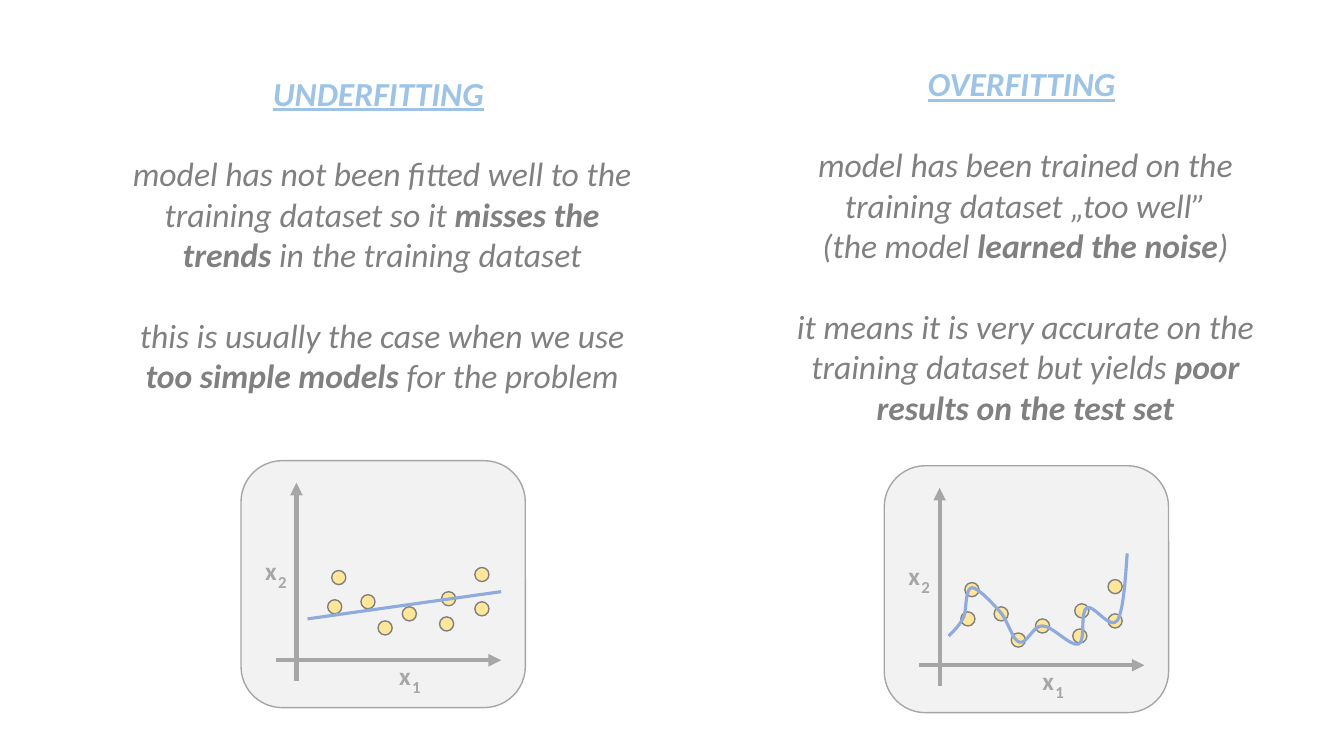
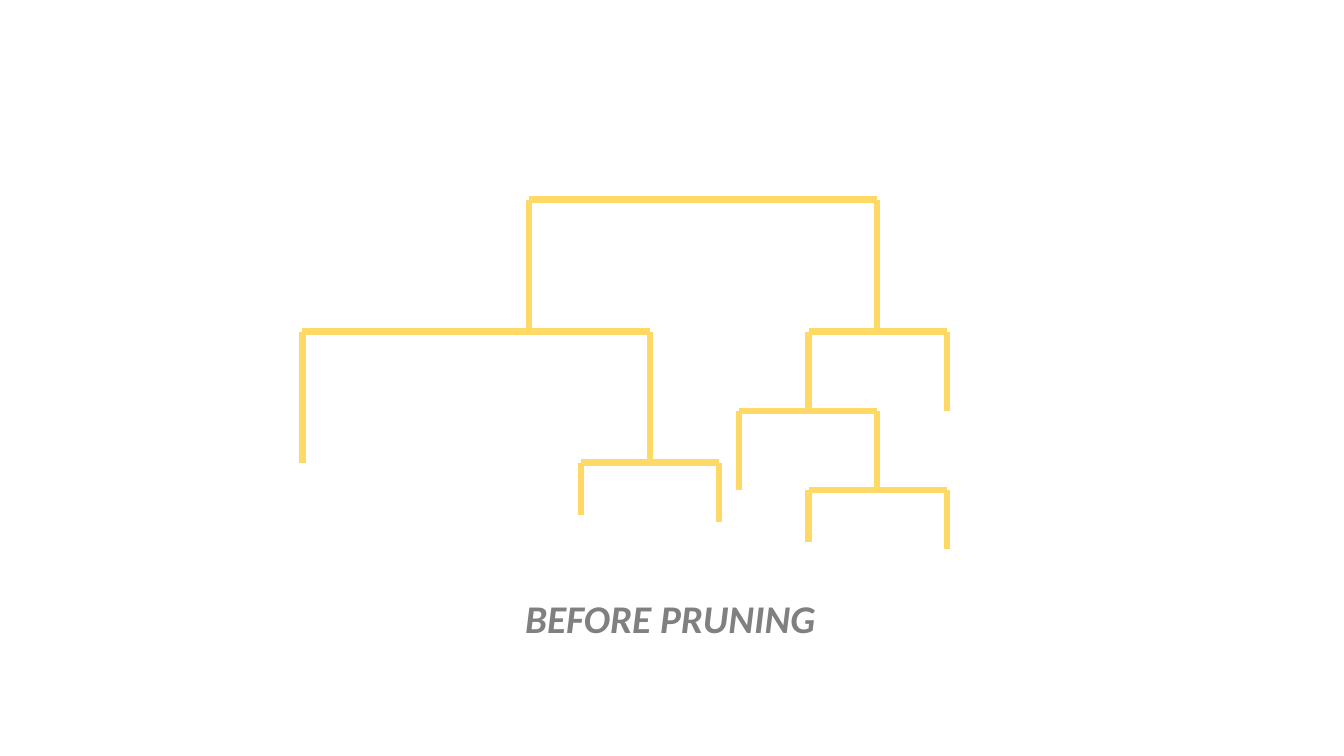
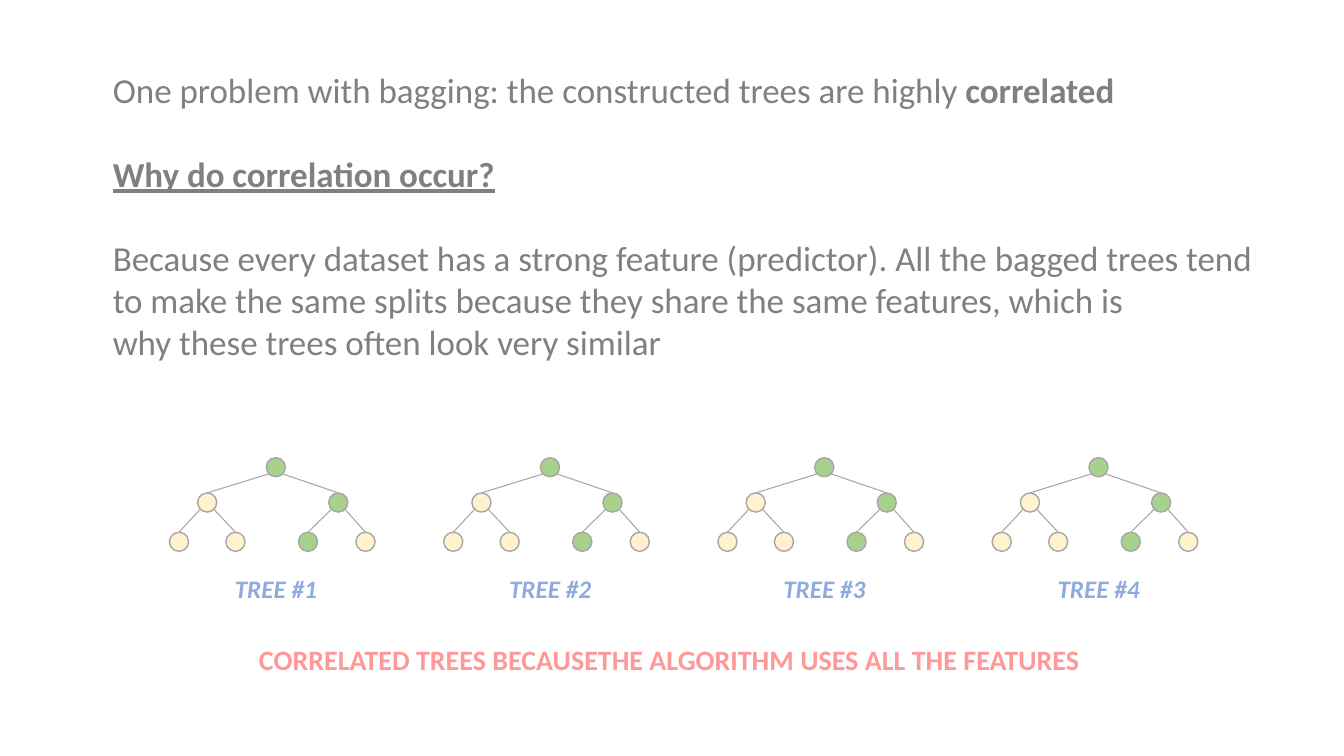
import pptx
import pptx.util
import pptx.dml.color
import pptx.enum.shapes
import pptx.enum.text
import pptx.oxml
import pptx.oxml.ns

BLUE, SKY, GREY, MID = "8FAADC", "9DC3E6", "808080", "A6A6A6"
YELLOW, GOLD, CREAM, GREEN, PALE, CORAL = "FFE699", "FFD966", "FFF2CC", "A9D18E", "F2F2F2", "FF9999"

FORMATS = {
    "heading": dict(size=24, bold=True, italic=True, underline=True, color=SKY),
    "heading end": dict(size=24, italic=True, color=SKY),
    "body": dict(size=24, italic=True, color=GREY),
    "strong": dict(size=24, italic=True, bold=True, color=GREY),
    "axis": dict(size=18, bold=True, color=MID),
    "index": dict(size=12, bold=True, color=MID),
    "caption": dict(size=28, bold=True, italic=True, color=GREY),
    "plain": dict(size=25, color=GREY),
    "plain strong": dict(size=25, bold=True, color=GREY),
    "question": dict(size=25, bold=True, underline=True, color=GREY),
    "tree": dict(size=18, bold=True, italic=True, color=BLUE),
    "conclusion": dict(size=20, bold=True, color=CORAL),
}

UNDERFITTING = [
    (0, [("UNDERFITTING", "heading"), (" ", "heading end")]),
    (29, [("model has not been fitted well to the training dataset so it ", "body"),
          ("misses the trends ", "strong"), ("in the training dataset", "body")]),
    (29, [("this is usually the case when we use ", "body"),
          ("too simple models ", "strong"), ("for the problem", "body")]),
]
OVERFITTING = [
    (0, [("OVERFITTING", "heading"), (" ", "heading end")]),
    (29, [("model has been trained on the training dataset „too well”", "body")]),
    (0, [("(the model ", "body"), ("learned the noise", "strong"), (")", "body")]),
    (29, [("it means it is very accurate on the training dataset but yields ", "body"),
          ("poor results on the test set", "strong")]),
]
BAGGING = [
    (0, [("One problem with bagging: the constructed trees are highly ", "plain"),
         ("correlated", "plain strong")]),
    (30, [("Why do correlation occur?", "question")]),
    (30, [("Because every dataset has a strong feature (predictor). "
           "All the bagged trees tend", "plain")]),
    (0, [("to make the same splits because they share the same features, which is", "plain")]),
    (0, [("why these trees often look very similar", "plain")]),
]

CARD = (2.82, 2.45)
AXES = [((0.55, 2.19), (0.55, 0.22)), ((0.35, 1.98), (2.58, 1.98))]
AXIS_LABELS = [("1", 1.47, 1.93), ("2", 0.14, 0.89)]
SAMPLES = [(0.9, 1.09), (1.19, 1.33), (1.99, 1.3), (1.36, 1.59), (1.6, 1.45),
           (1.97, 1.55), (2.32, 1.06), (0.86, 1.38), (2.32, 1.4)]
TREND = ((3.05, 6.14), (4.97, 5.87))
NOISE = [
    (9.41, 6.31), (9.47, 6.25), (9.52, 6.2), (9.56, 6.12), (9.59, 6.04), (9.57, 5.84),
    (9.64, 5.83), (9.7, 5.83), (9.84, 5.98), (9.92, 6.07), (10, 6.16), (10.04, 6.35),
    (10.11, 6.37), (10.18, 6.4), (10.25, 6.2), (10.34, 6.21), (10.44, 6.21), (10.62, 6.42),
    (10.7, 6.39), (10.77, 6.36), (10.71, 6.07), (10.78, 6.03), (10.84, 5.99), (11.01, 6.25),
    (11.08, 6.16), (11.14, 6.07), (11.16, 5.78), (11.18, 5.49),
]

WIDE, NARROW = 3.45, 1.37
SPLITS = [
    (5.25, 1.98, WIDE, 1.3, 1.3),
    (8.02, 3.29, NARROW, 0.79, 0.79),
    (7.33, 4.08, NARROW, 0.78, 0.78),
    (8.02, 4.86, NARROW, 0.52, 0.59),
    (3, 3.29, WIDE, 1.3, 1.3),
    (5.76, 4.59, NARROW, 0.52, 0.59),
]

TREES, FIRST_TREE, TREE_TOP, TREE_PITCH, NODE = 4, 1.68, 4.54, 2.72, 0.19
NODES = [(0.96, 0, GREEN), (0.28, 0.35, CREAM), (1.58, 0.35, GREEN),
         (0, 0.74, CREAM), (0.56, 0.74, CREAM), (1.28, 0.74, GREEN), (1.85, 0.74, CREAM)]

inch = pptx.util.Inches


def colour(target, value):
    target.rgb = pptx.dml.color.RGBColor.from_string(value)


def add_element(parent, tag, **attributes):
    element = pptx.oxml.parse_xml(f"<{tag} {pptx.oxml.ns.nsdecls('a')}/>")
    for key, value in attributes.items():
        element.set(key, value)
    parent.append(element)


def outline(part, value, width):
    colour(part.line.color, value)
    part.line.width = pptx.util.Pt(width)


def preset(slide, kind, box, fill, edge):
    part = slide.shapes.add_shape(kind, *map(inch, box))
    part.shadow.inherit = False
    part.fill.solid()
    colour(part.fill.fore_color, fill)
    outline(part, edge, 1)


def circle(slide, x, y, size, fill, edge):
    preset(slide, pptx.enum.shapes.MSO_SHAPE.OVAL, (x, y, size, size), fill, edge)


def segment(slide, start, end, value, width, arrow=False):
    part = slide.shapes.add_connector(
        pptx.enum.shapes.MSO_CONNECTOR.STRAIGHT, *map(inch, (*start, *end)))
    outline(part, value, width)
    properties = part._element.spPr
    if arrow:
        add_element(properties.find(pptx.oxml.ns.qn("a:ln")), "a:tailEnd", type="triangle")
    add_element(properties, "a:effectLst")


def curve(slide, points, value, width):
    start, *rest = [tuple(map(inch, point)) for point in points]
    builder = slide.shapes.build_freeform(*start, scale=1.0)
    builder.add_line_segments(rest, close=False)
    part = builder.convert_to_shape()
    part.shadow.inherit = False
    part.fill.background()
    outline(part, value, width)
    steps = part._element.xpath(".//a:lnTo")
    for first in range(0, len(steps), 3):
        bend, *others = steps[first:first + 3]
        bend.tag = pptx.oxml.ns.qn("a:cubicBezTo")
        for step in others:
            bend.append(step[0])
            step.getparent().remove(step)


def write(slide, box, paragraphs, wrap=False, align="LEFT"):
    frame = slide.shapes.add_textbox(*map(inch, box)).text_frame
    frame.word_wrap = wrap
    frame.auto_size = pptx.enum.text.MSO_AUTO_SIZE.SHAPE_TO_FIT_TEXT
    for number, (gap, runs) in enumerate(paragraphs):
        paragraph = frame.add_paragraph() if number else frame.paragraphs[0]
        paragraph.alignment = getattr(pptx.enum.text.PP_ALIGN, align)
        if gap:
            paragraph.space_before = pptx.util.Pt(gap)
        for text, style in runs:
            run = paragraph.add_run()
            run.text = text
            run.font.name = "Calibri"
            for key, value in FORMATS[style].items():
                if key == "color":
                    colour(run.font.color, value)
                else:
                    setattr(run.font, key, pptx.util.Pt(value) if key == "size" else value)


def label(slide, box, text, style):
    write(slide, box, [(0, [(text, style)])])


def plot(slide, left, top, sample_shift):
    preset(slide, pptx.enum.shapes.MSO_SHAPE.ROUNDED_RECTANGLE, (left, top, *CARD), PALE, MID)
    for ends in AXES:
        start, end = [(left + x, top + y) for x, y in ends]
        segment(slide, start, end, MID, 3, arrow=True)
    for index, x, y in AXIS_LABELS:
        label(slide, (left + x, top + y, 0.32, 0.4), "x", "axis")
        label(slide, (left + x + 0.13, top + y + 0.16, 0.29, 0.3), index, "index")
    dx, dy = sample_shift
    for x, y in SAMPLES:
        circle(slide, left + x + dx, top + y + dy, 0.14, YELLOW, GREY)


def fitting(slide):
    plot(slide, 2.39, 4.57, (0, 0))
    segment(slide, *TREND, BLUE, 2.25)
    write(slide, (1.08, 0.67, 5.42, 3.74), UNDERFITTING, True, "CENTER")
    plot(slide, 8.77, 4.62, (-0.1, 0.07))
    curve(slide, NOISE, BLUE, 2.25)
    write(slide, (7.46, 0.58, 5.42, 3.74), OVERFITTING, True, "CENTER")


def pruning(slide):
    for left, top, width, *drops in SPLITS:
        right = left + width
        segment(slide, (left, top), (right, top), GOLD, 4.5)
        for x, drop in zip((left, right), drops):
            segment(slide, (x, top), (x, top + drop), GOLD, 4.5)
    label(slide, (5.11, 5.85, 3.11, 0.57), "BEFORE PRUNING", "caption")


def bagging(slide):
    write(slide, (1.02, 0.63, 11.72, 3.05), BAGGING, True)
    for tree in range(TREES):
        left = FIRST_TREE + tree * TREE_PITCH
        nodes = [(left + x, TREE_TOP + y, fill) for x, y, fill in NODES]
        for x, y, fill in nodes:
            circle(slide, x, y, NODE, fill, MID)
        for child in range(1, len(nodes)):
            x, y, _ = nodes[(child - 1) // 2]
            exit_x = x + (0.03 if child % 2 else NODE - 0.03)
            child_x, child_y, _ = nodes[child]
            segment(slide, (exit_x, y + NODE - 0.03), (child_x + NODE / 2, child_y), MID, 0.75)
        label(slide, (left + 0.55, 5.64, 1.02, 0.4), f"TREE #{tree + 1}", "tree")
    label(slide, (2.47, 6.33, 8.39, 0.44),
          "CORRELATED TREES BECAUSETHE ALGORITHM USES ALL THE FEATURES", "conclusion")


def main():
    deck = pptx.Presentation()
    deck.slide_width, deck.slide_height = inch(13.33), inch(7.5)
    for fill_slide in (fitting, pruning, bagging):
        fill_slide(deck.slides.add_slide(deck.slide_layouts[6]))
    deck.save("out.pptx")


if __name__ == "__main__":
    main()
